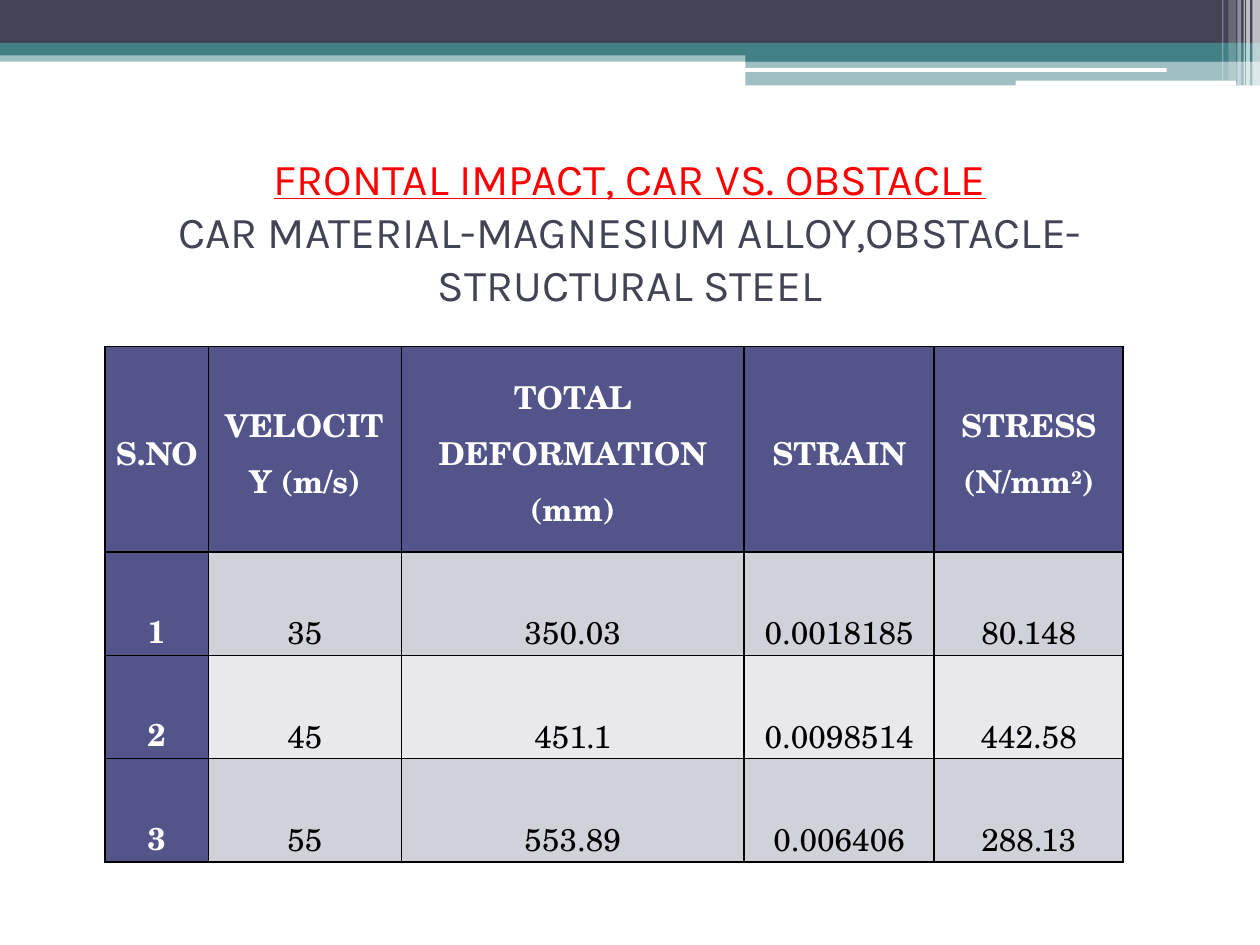
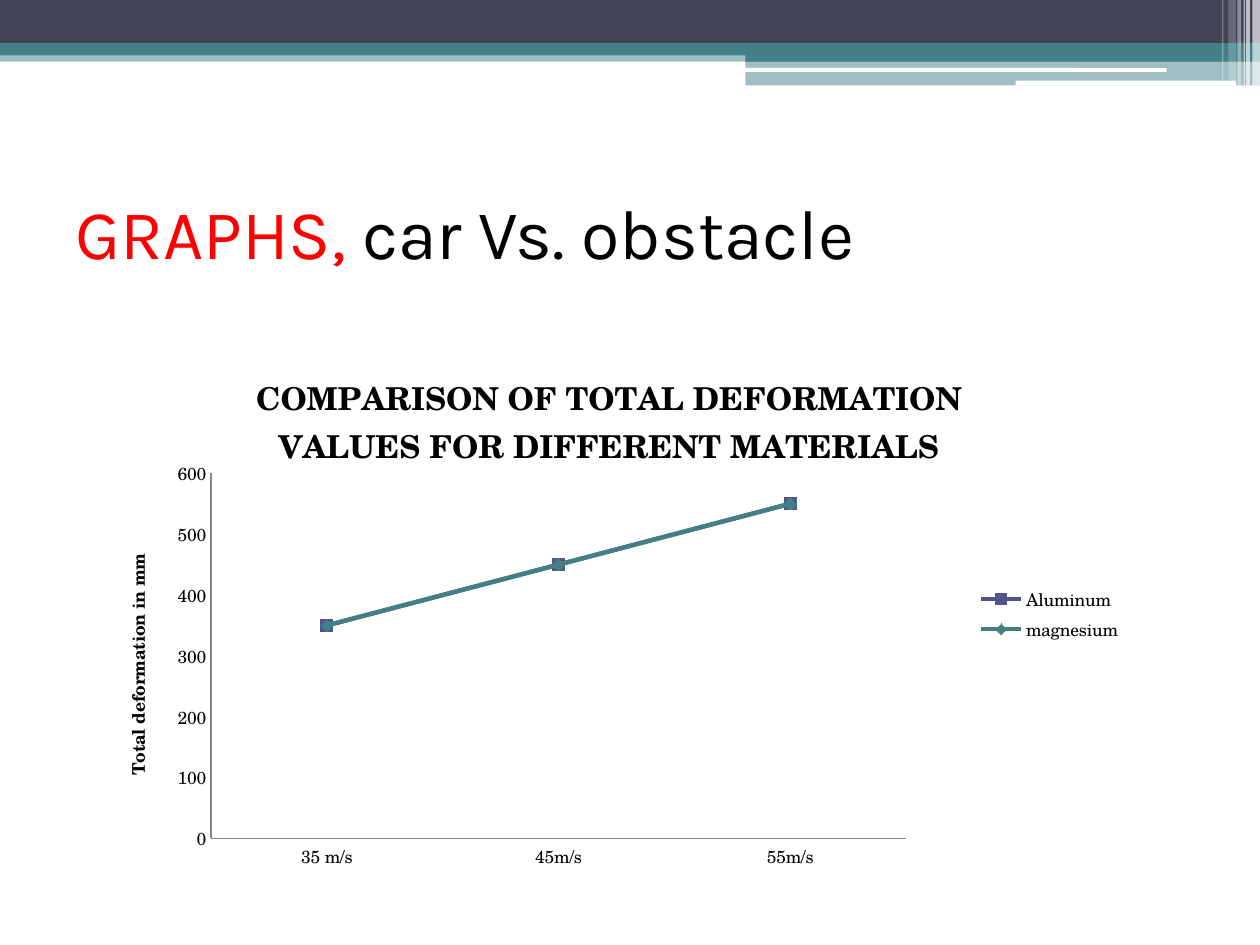
from dataclasses import dataclass
from typing import Any

from lxml import etree
from pptx import Presentation
from pptx import util as u
from pptx.chart import data
from pptx.dml.color import RGBColor
from pptx.enum import chart as charts, shapes, text
from pptx.oxml import parse_xml
from pptx.oxml.ns import nsdecls, qn

TITLE_FONT = "Karla"
BODY_FONT = "TeX Gyre Schola"
WHITE = RGBColor(0xFF, 0xFF, 0xFF)
BLACK = RGBColor(0, 0, 0)
RED = RGBColor(0xFF, 0, 0)
SLATE = RGBColor(0x42, 0x44, 0x56)
TEAL = RGBColor(0x43, 0x80, 0x86)
INDIGO = RGBColor(0x53, 0x54, 0x8A)
ROW_DARK = RGBColor(0xD1, 0xD1, 0xDA)
ROW_LIGHT = RGBColor(0xE9, 0xE9, 0xED)
AXIS_GREY = RGBColor(0x86, 0x86, 0x86)


@dataclass(frozen=True)
class Band:
    left: float
    top: float
    width: float
    height: float
    color: RGBColor
    opacity: int = 100
    rounded: bool = False


@dataclass(frozen=True)
class Span:
    words: str
    color: RGBColor
    size: float
    font: str = TITLE_FONT
    bold: bool = False
    underline: bool = False
    breaks_after: bool = False
    raised: bool = False


@dataclass(frozen=True)
class Line:
    name: str
    values: tuple[float, ...]
    color: RGBColor
    marker: charts.XL_MARKER_STYLE


# Left, width, height and opacity of the pale stripes in the top right corner
STRIPES = (
    (715.68, 4.32, 48.96, 65),
    (712.08, 2.16, 48.96, 65),
    (710.64, 0.72, 48.96, 60),
    (707.04, 2.16, 48.96, 40),
    (702, 4.32, 46.08, 20),
    (698.4, 0.72, 46.08, 30),
)
HEADER_BANDS = (
    Band(0, 28.8, 720, 6.48, TEAL, 50),
    Band(0, 0, 720, 24.48, SLATE),
    Band(0, 24.48, 720, 7.2, TEAL),
    Band(426, 28.08, 294, 7.2, TEAL),
    Band(426, 34.8, 294, 14, TEAL, 50),
    Band(425.52, 38.88, 241.2, 2.16, WHITE, rounded=True),
    Band(580.32, 46.08, 126, 2.88, WHITE, rounded=True),
    *(Band(left, 0, width, height, WHITE, opacity)
      for left, width, height, opacity in STRIPES),
)

COLUMN_WIDTHS = (59, 110.3, 195.9, 108.7, 108)
HEADER_HEIGHT = 117.5
ROW_HEIGHT = 59
HEADINGS = (
    ("S.NO",),
    ("VELOCITY (m/s)",),
    ("TOTAL DEFORMATION (mm)",),
    ("STRAIN",),
    ("STRESS", "(N/mm²)"),
)
RESULTS = (
    ("1", "35", "350.03", "0.0018185", "80.148"),
    ("2", "45", "451.1", "0.0098514", "442.58"),
    ("3", "55", "553.89", "0.006406", "288.13"),
)

SPEEDS = ("35 m/s", "45m/s", "55m/s")
LINES = (
    Line("Aluminum", (350, 450, 550), INDIGO, charts.XL_MARKER_STYLE.SQUARE),
    Line("magnesium", (350, 450, 550), TEAL, charts.XL_MARKER_STYLE.DIAMOND),
)
PLOT_LAYOUT = {"x": 0.121, "y": 0.237, "w": 0.662, "h": 0.682}


def style_font(font: Any, size: float, color: RGBColor, name: str, bold: bool) -> None:
    font.size = u.Pt(size)
    font.name = name
    font.bold = bold
    font.color.rgb = color


def add_span(para: Any, span: Span) -> None:
    run = para.add_run()
    run.text = span.words
    style_font(run.font, span.size, span.color, span.font, span.bold)
    run.font.underline = span.underline
    if span.raised:
        run._r.get_or_add_rPr().set("baseline", "30000")
    if span.breaks_after:
        para.add_line_break()


def add_band(page: Any, band: Band) -> None:
    preset = shapes.MSO_SHAPE.ROUNDED_RECTANGLE if band.rounded else shapes.MSO_SHAPE.RECTANGLE
    shape = page.shapes.add_shape(
        preset, u.Pt(band.left), u.Pt(band.top), u.Pt(band.width), u.Pt(band.height))
    shape.shadow.inherit = False
    shape.fill.solid()
    shape.fill.fore_color.rgb = band.color
    shape.line.fill.background()
    if band.opacity < 100:
        color = shape.element.spPr.find(f"{qn('a:solidFill')}/{qn('a:srgbClr')}")
        etree.SubElement(color, qn("a:alpha")).set("val", str(band.opacity * 1000))


def add_page(deck: Any, title: tuple[Span, ...], align: text.PP_ALIGN) -> Any:
    """Add a slide with the header bands and its title."""
    page = deck.slides.add_slide(deck.slide_layouts[6])
    for band in HEADER_BANDS:
        add_band(page, band)
    box = page.shapes.add_textbox(u.Pt(36), u.Pt(90), u.Pt(648), u.Pt(84.24))
    frame = box.text_frame
    frame.word_wrap = True
    frame.vertical_anchor = text.MSO_ANCHOR.MIDDLE
    para = frame.paragraphs[0]
    para.alignment = align
    for span in title:
        add_span(para, span)
    return page


def border_cell(cell: Any) -> None:
    properties = cell._tc.get_or_add_tcPr()
    for index, side in enumerate(("lnL", "lnR", "lnT", "lnB")):
        properties.insert(index, parse_xml(
            f'<a:{side} {nsdecls("a")} w="12700"><a:solidFill>'
            f'<a:srgbClr val="{BLACK}"/></a:solidFill></a:{side}>'))


def fill_cell(cell: Any, lines: tuple[str, ...], fill: RGBColor,
              anchor: text.MSO_ANCHOR) -> None:
    cell.fill.solid()
    cell.fill.fore_color.rgb = fill
    cell.vertical_anchor = anchor
    cell.margin_left = cell.margin_right = u.Pt(5)
    cell.margin_top = cell.margin_bottom = u.Pt(0)
    border_cell(cell)
    strong = fill == INDIGO
    color = WHITE if strong else BLACK
    frame = cell.text_frame
    for index, line in enumerate(lines):
        para = frame.add_paragraph() if index else frame.paragraphs[0]
        para.alignment = text.PP_ALIGN.CENTER
        para.line_spacing = 1.15
        before, square, after = line.partition("²")
        for words, raised in ((before, False), ("2" if square else "", True), (after, False)):
            if words:
                add_span(para, Span(words, color, 18, BODY_FONT, strong, raised=raised))


def add_results_table(page: Any) -> None:
    table = page.shapes.add_table(
        len(RESULTS) + 1, len(HEADINGS), u.Pt(60), u.Pt(198),
        u.Pt(sum(COLUMN_WIDTHS)), u.Pt(HEADER_HEIGHT + len(RESULTS) * ROW_HEIGHT)).table
    for column, width in zip(table.columns, COLUMN_WIDTHS):
        column.width = u.Pt(width)
    for index, row in enumerate(table.rows):
        row.height = u.Pt(ROW_HEIGHT if index else HEADER_HEIGHT)
    for column, heading in enumerate(HEADINGS):
        fill_cell(table.cell(0, column), heading, INDIGO, text.MSO_ANCHOR.MIDDLE)
    for row, values in enumerate(RESULTS, 1):
        stripe = ROW_DARK if row % 2 else ROW_LIGHT
        for column, value in enumerate(values):
            fill_cell(table.cell(row, column), (value,), stripe if column else INDIGO,
                      text.MSO_ANCHOR.BOTTOM)


def place_plot(chart: Any) -> None:
    """Fix the inner plot area as fractions of the chart."""
    area = chart.element.find(f"{qn('c:chart')}/{qn('c:plotArea')}")
    for layout in area.findall(qn("c:layout")):
        area.remove(layout)
    modes = "".join(f'<c:{key}Mode val="edge"/>' for key in "xy")
    sizes = "".join(f'<c:{key} val="{value}"/>' for key, value in PLOT_LAYOUT.items())
    area.insert(0, parse_xml(
        f'<c:layout {nsdecls("c")}><c:manualLayout><c:layoutTarget val="inner"/>'
        f"{modes}{sizes}</c:manualLayout></c:layout>"))


def add_deformation_chart(page: Any) -> None:
    source = data.CategoryChartData(number_format="General")
    source.categories = SPEEDS
    for line in LINES:
        source.add_series(line.name, line.values)
    chart = page.shapes.add_chart(
        charts.XL_CHART_TYPE.LINE_MARKERS, u.Pt(48), u.Pt(198), u.Pt(600), u.Pt(306),
        source).chart
    style_font(chart.font, 10, BLACK, BODY_FONT, False)

    chart.has_title = True
    add_span(chart.chart_title.text_frame.paragraphs[0], Span(
        "COMPARISON OF TOTAL DEFORMATION VALUES FOR DIFFERENT MATERIALS",
        BLACK, 18, BODY_FONT, bold=True))
    chart.chart_title.include_in_layout = False
    chart.has_legend = True
    chart.legend.position = charts.XL_LEGEND_POSITION.RIGHT
    chart.legend.include_in_layout = False

    for axis in (chart.category_axis, chart.value_axis):
        axis.has_major_gridlines = False
        axis.major_tick_mark = charts.XL_TICK_MARK.NONE
        axis.minor_tick_mark = charts.XL_TICK_MARK.NONE
        axis.format.line.color.rgb = AXIS_GREY
        axis.format.line.width = u.Pt(0.75)
    scale = chart.value_axis
    scale.minimum_scale, scale.maximum_scale, scale.major_unit = 0, 600, 100
    scale.has_title = True
    frame = scale.axis_title.text_frame
    add_span(frame.paragraphs[0], Span(
        "Total deformation in mm", BLACK, 10, BODY_FONT, bold=True))
    turn = frame._txBody.bodyPr
    turn.set("rot", "-5400000")
    turn.set("vert", "horz")

    plot = chart.plots[0]
    plot.vary_by_categories = False
    for series, line in zip(plot.series, LINES):
        series.smooth = False
        series.format.line.color.rgb = line.color
        series.format.line.width = u.Pt(2.5)
        series.marker.style = line.marker
        series.marker.size = 7
        series.marker.format.fill.solid()
        series.marker.format.fill.fore_color.rgb = line.color
        series.marker.format.line.color.rgb = line.color
    place_plot(chart)


def main() -> None:
    deck = Presentation()
    deck.slide_width, deck.slide_height = u.Pt(720), u.Pt(540)
    impact = add_page(deck, (
        Span("FRONTAL IMPACT, CAR VS. OBSTACLE", RED, 25.2, underline=True, breaks_after=True),
        Span("CAR MATERIAL-MAGNESIUM ALLOY,OBSTACLE-STRUCTURAL STEEL", SLATE, 25.2),
    ), text.PP_ALIGN.CENTER)
    add_results_table(impact)
    graphs = add_page(deck, (
        Span("GRAPHS, ", RED, 40),
        Span("car Vs. obstacle", BLACK, 40),
    ), text.PP_ALIGN.LEFT)
    add_deformation_chart(graphs)
    deck.save("out.pptx")


if __name__ == "__main__":
    main()
